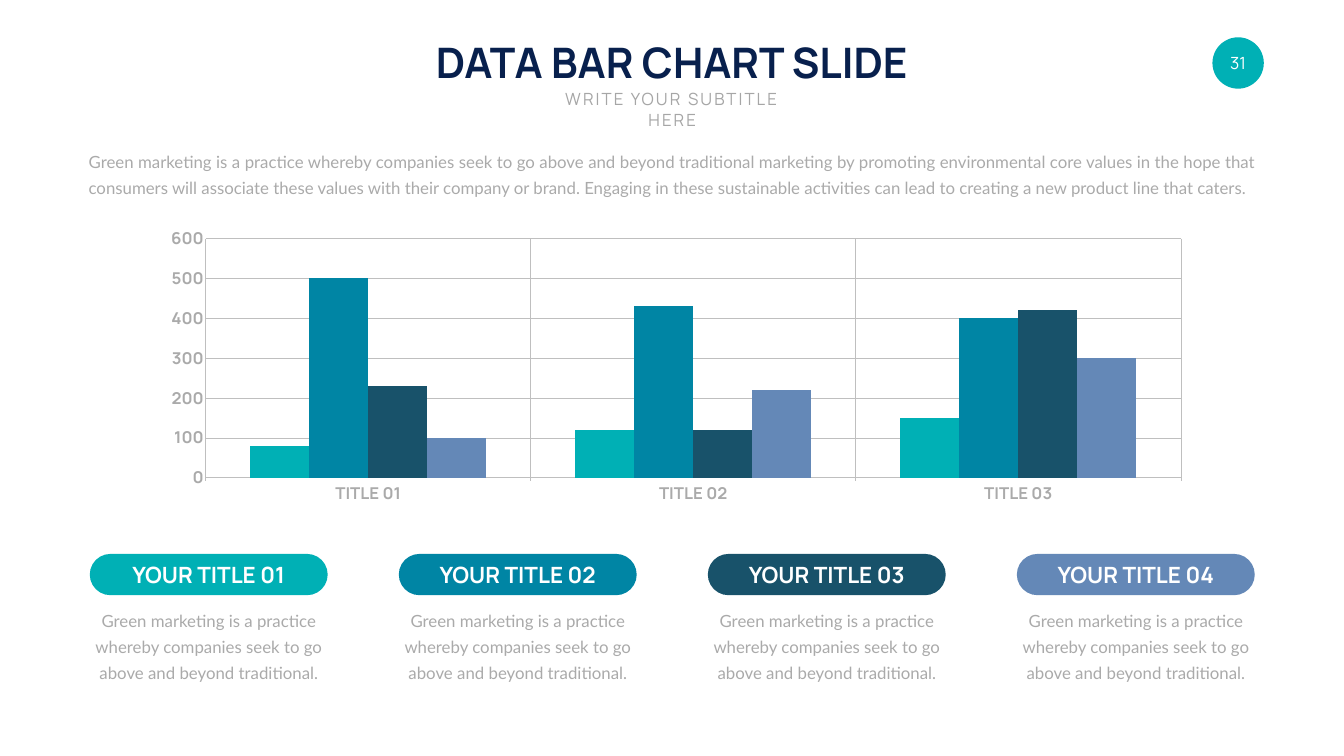
import pptx
import pptx.chart.data
import pptx.dml.color
import pptx.enum.chart
import pptx.enum.shapes
import pptx.enum.text
import pptx.oxml
import pptx.util

Pt = pptx.util.Pt
ALIGN = pptx.enum.text.PP_ALIGN
ANCHOR = pptx.enum.text.MSO_ANCHOR
SHAPE = pptx.enum.shapes.MSO_SHAPE
TICK = pptx.enum.chart.XL_TICK_MARK

HEX = {
    "teal": "00B0B5", "blue": "0085A4", "deep": "18526A", "slate": "6488B7",
    "navy": "08204D", "gray": "AAAAAA", "sub": "A6A6A6", "grid": "BFBFBF",
    "white": "FFFFFF",
}
TONES = ["teal", "blue", "deep", "slate"]
ROWS = [(80, 120, 150), (500, 430, 400), (230, 120, 420), (100, 220, 300)]
INTRO = (
    "Green marketing is a practice whereby companies seek to go above and "
    "beyond traditional marketing by promoting environmental core values in "
    "the hope that consumers will associate these values with their company "
    "or brand. Engaging in these sustainable activities can lead to creating "
    "a new product line that caters."
)
BLURB = ("Green marketing is a practice whereby companies seek to go above "
         "and beyond traditional.")


def color(name):
    return pptx.dml.color.RGBColor.from_string(HEX[name])


def style(font, size, tone, bold=False, face="Manrope"):
    font.name, font.size, font.bold = face, Pt(size), bold
    font.color.rgb = color(tone)


def write(frame, text, size=24, tone="gray", bold=False, face="Manrope",
          align=ALIGN.CENTER, anchor=ANCHOR.TOP, lead=None, track=0, wrap=True):
    """Fill a text frame with one formatted paragraph."""
    frame.auto_size = pptx.enum.text.MSO_AUTO_SIZE.NONE
    frame.word_wrap, frame.vertical_anchor = wrap, anchor
    para = frame.paragraphs[0]
    para.alignment = align
    if lead:
        para.line_spacing = Pt(lead)
    run = para.add_run()
    run.text = text
    style(run.font, size, tone, bold, face)
    if track:
        run._r.get_or_add_rPr().set("spc", str(track * 100))


def label(slide, box, text, **form):
    shape = slide.shapes.add_textbox(*map(Pt, box))
    write(shape.text_frame, text, **form)


def badge(slide, kind, box, fill, text, **form):
    """Add a filled shape with centred white text."""
    shape = slide.shapes.add_shape(kind, *map(Pt, box))
    shape.shadow.inherit = False
    shape.fill.solid()
    shape.fill.fore_color.rgb = color(fill)
    shape.line.fill.background()
    if kind == SHAPE.ROUNDED_RECTANGLE:
        shape.adjustments[0] = 0.5
    frame = shape.text_frame
    frame.margin_left = frame.margin_right = 0
    frame.margin_top = frame.margin_bottom = 0
    write(frame, text, tone="white", anchor=ANCHOR.MIDDLE, wrap=False, **form)


def rule(line):
    line.color.rgb = color("grid")
    line.width = Pt(0.75)


def place(chart, x, y, w, h):
    """Fix the inner plot area as shares of the chart."""
    area = chart._chartSpace.chart.plotArea
    space = "http://schemas.openxmlformats.org/drawingml/2006/chart"
    for old in area.findall("{%s}layout" % space):
        area.remove(old)
    parts = [("layoutTarget", "inner"), ("xMode", "edge"), ("yMode", "edge"),
             ("x", x), ("y", y), ("w", w), ("h", h)]
    body = "".join(f'<c:{tag} val="{val}"/>' for tag, val in parts)
    area.insert(0, pptx.oxml.parse_xml(
        f'<c:layout xmlns:c="{space}"><c:manualLayout>{body}'
        '</c:manualLayout></c:layout>'))


def graph(slide, box):
    data = pptx.chart.data.CategoryChartData()
    data.categories = [f"TITLE {n:02}" for n in range(1, 4)]
    for n, row in enumerate(ROWS, 1):
        data.add_series(f"Series {n}", row)
    kind = pptx.enum.chart.XL_CHART_TYPE.COLUMN_CLUSTERED
    chart = slide.shapes.add_chart(kind, *map(Pt, box), data).chart
    chart.has_legend = chart.has_title = False
    style(chart.font, 24, "gray", bold=True)
    place(chart, 0.061, 0.02, 0.915, 0.886)

    # Bars
    plot = chart.plots[0]
    plot.gap_width, plot.overlap, plot.vary_by_categories = 150, 0, False
    for bars, tone in zip(plot.series, TONES):
        bars.format.fill.solid()
        bars.format.fill.fore_color.rgb = color(tone)

    # Axes and grid
    for axis, tick in ((chart.category_axis, TICK.OUTSIDE),
                       (chart.value_axis, TICK.NONE)):
        axis.has_major_gridlines = True
        axis.major_tick_mark, axis.minor_tick_mark = tick, TICK.NONE
        rule(axis.format.line)
        rule(axis.major_gridlines.format.line)
        style(axis.tick_labels.font, 24, "gray", bold=True)
    axis = chart.value_axis
    axis.minimum_scale, axis.maximum_scale, axis.major_unit = 0, 600, 100


def column(slide, n, tone):
    """Add one titled column of the bottom row."""
    left, width = 128.2 + 441.36 * n, 339.8
    badge(slide, SHAPE.ROUNDED_RECTANGLE, (left, 791.3, width, 59), tone,
          f"YOUR TITLE {n + 1:02}", size=32, bold=True)
    label(slide, (left, 860.4, width, 115.2), BLURB, face="Lato", lead=37)


def main():
    deck = pptx.Presentation()
    deck.slide_width, deck.slide_height = Pt(1919.52), Pt(1080)
    slide = deck.slides.add_slide(deck.slide_layouts[5])

    # Heading
    title = slide.shapes.title
    title.left, title.top = Pt(600.5), Pt(48.2)
    title.width, title.height = Pt(717.8), Pt(80)
    write(title.text_frame, "DATA BAR CHART SLIDE", size=60, tone="navy",
          bold=True, wrap=False)
    label(slide, (764.6, 123.8, 391, 36), "WRITE YOUR SUBTITLE HERE",
          tone="sub", track=3)
    badge(slide, SHAPE.OVAL, (1731.6, 53.3, 73.4, 73.4), "teal", "31")
    label(slide, (119.5, 204.5, 1679.8, 77.8), INTRO, face="Lato", lead=37,
          align=ALIGN.JUSTIFY)

    # Chart and columns
    graph(slide, (200.9, 324.7, 1522.1, 396.7))
    for n, tone in enumerate(TONES):
        column(slide, n, tone)
    deck.save("out.pptx")


if __name__ == "__main__":
    main()
